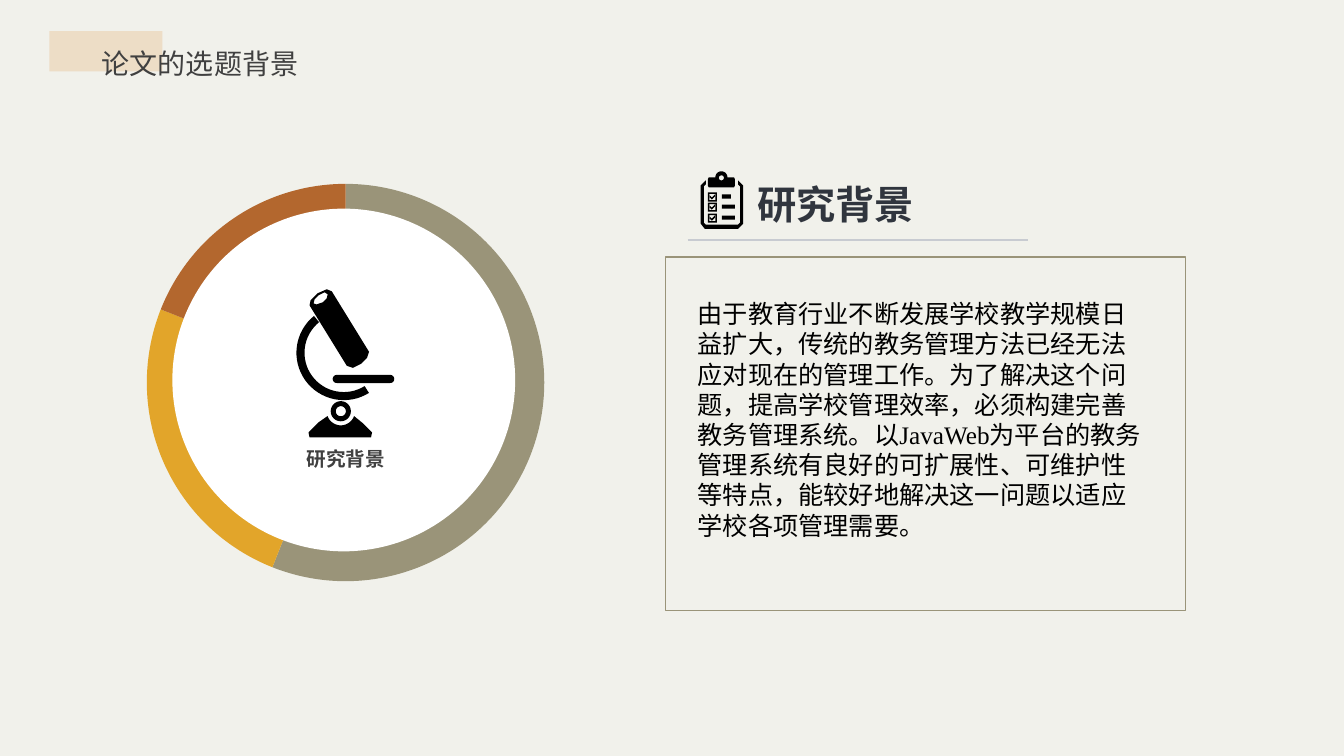
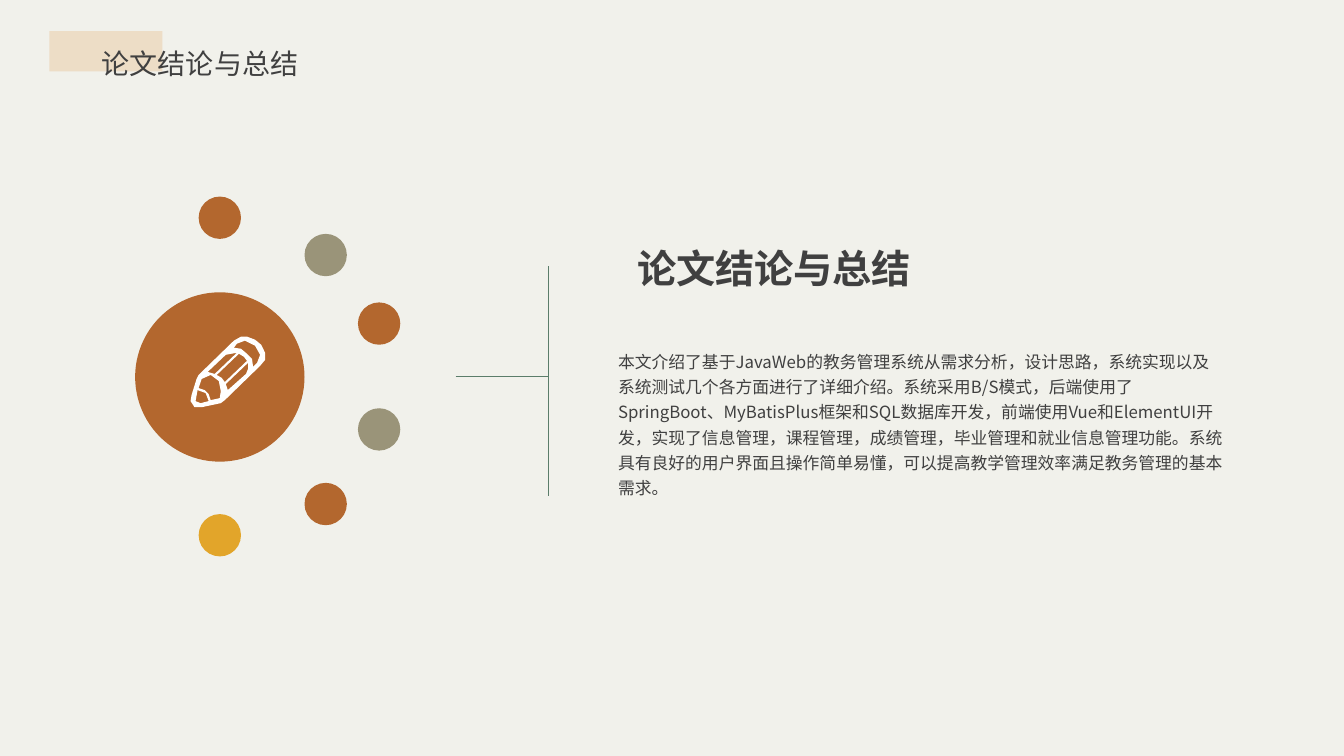
from dataclasses import dataclass
from math import cos, radians, sin

from lxml import etree
from pptx import Presentation
from pptx.chart.data import CategoryChartData
from pptx.dml.color import RGBColor
from pptx.enum.chart import XL_CHART_TYPE
from pptx.enum.shapes import MSO_CONNECTOR, MSO_SHAPE
from pptx.enum.text import MSO_ANCHOR, MSO_AUTO_SIZE, PP_ALIGN
from pptx.oxml import parse_xml
from pptx.oxml.ns import nsdecls, qn
from pptx.util import Inches, Pt

RECT, OVAL = MSO_SHAPE.RECTANGLE, MSO_SHAPE.OVAL
STRAIGHT, PIE = MSO_CONNECTOR.STRAIGHT, XL_CHART_TYPE.PIE
LEFT, CENTER, JUSTIFY = PP_ALIGN.LEFT, PP_ALIGN.CENTER, PP_ALIGN.JUSTIFY
TITLE_AND_CONTENT = 1


@dataclass(frozen=True)
class Theme:
    paper: str = "F1F1EB"
    sand: str = "EDDDC6"
    olive: str = "9A9479"
    rust: str = "B3672E"
    gold: str = "E2A52A"
    green: str = "5B7D6A"
    grey: str = "C8CBD1"
    text: str = "404040"
    slate: str = "30353E"
    black: str = "000000"
    white: str = "FFFFFF"
    sans: str = "Noto Sans CJK SC"
    slab: str = "Roboto Slab"
    serif: str = "Times New Roman"
    title: int = 20
    heading: int = 28
    body: int = 18
    label: int = 14
    small: int = 12


T = Theme()
CELL = Inches(0.1)  # the slide is a grid of 133.3 columns by 75 rows


@dataclass(frozen=True)
class Box:
    """A region in grid cells."""
    x: float
    y: float
    w: float
    h: float

    def inner(self, dx, dy, w, h):
        return Box(self.x + dx, self.y + dy, w, h)

    def emu(self):
        return [int(v * CELL) for v in (self.x, self.y, self.w, self.h)]


def rgb(color):
    return RGBColor.from_string(color)


# Basic elements

def add_shape(s, kind, box, fill=None, line=None):
    sp = s.shapes.add_shape(kind, *box.emu())
    sp.shadow.inherit = False
    if fill:
        sp.fill.solid()
        sp.fill.fore_color.rgb = rgb(fill)
    else:
        sp.fill.background()
    if line:
        sp.line.color.rgb = rgb(line)
        sp.line.width = Pt(1)
    else:
        sp.line.fill.background()
    return sp


def add_line(s, box, color, width):
    x, y, w, h = box.emu()
    line = s.shapes.add_connector(STRAIGHT, x, y, x + w, y + h)
    line.line.color.rgb = rgb(color)
    line.line.width = Pt(width)
    etree.SubElement(line._element.spPr, qn("a:effectLst"))


def set_text(sp, text, size, font=T.sans, color=T.text, bold=False,
             align=LEFT, spacing=1.0, wrap=True):
    tf = sp.text_frame
    tf.text = text
    tf.word_wrap = wrap
    tf.auto_size = MSO_AUTO_SIZE.NONE
    tf.vertical_anchor = MSO_ANCHOR.TOP
    p = tf.paragraphs[0]
    p.alignment = align
    p.line_spacing = spacing
    p.space_before = Pt(0)
    p.font.name, p.font.size, p.font.bold = font, Pt(size), bold
    p.font.color.rgb = rgb(color)
    pPr = p._p.pPr
    etree.SubElement(pPr.find(qn("a:defRPr")), qn("a:ea"), typeface=T.sans)
    return tf


def add_text(s, box, text, size, **style):
    return set_text(s.shapes.add_textbox(*box.emu()), text, size, **style)


def fill_placeholder(sp, box, text, size, **style):
    sp.left, sp.top, sp.width, sp.height = box.emu()
    return set_text(sp, text, size, **style)


def fill_body(s, box, text, size, **style):
    tf = fill_placeholder(s.placeholders[1], box, text, size, **style)
    pPr = tf.paragraphs[0]._p.pPr
    pPr.set("marL", "0")
    pPr.set("indent", "0")
    pPr.find(qn("a:defRPr")).addprevious(parse_xml(f'<a:buNone {nsdecls("a")}/>'))


# Icons: contours in hundredths of an inch, inner ones are holes

def arc(cx, cy, r, start=0, end=360, steps=32):
    angles = [radians(start + (end - start) * i / steps) for i in range(steps + 1)]
    return [(cx + r * cos(a), cy + r * sin(a)) for a in angles]


def bar(x1, y1, x2, y2):
    return [(x1, y1), (x2, y1), (x2, y2), (x1, y2)]


def add_icon(s, box, contours, color):
    left, top, _, _ = box.emu()
    placed = [[(left + int(x * CELL / 10), top + int(y * CELL / 10)) for x, y in c]
              for c in contours]
    builder = s.shapes.build_freeform(*placed[0][0])
    for first, *rest in placed:
        builder.move_to(*first)
        builder.add_line_segments(rest, close=True)
    sp = builder.convert_to_shape()
    sp.shadow.inherit = False
    sp.fill.solid()
    sp.fill.fore_color.rgb = rgb(color)
    sp.line.fill.background()


def microscope():
    tube = [(13, 17), (14, 12), (21, 5), (30, 1), (35, 3), (72, 63), (70, 69),
            (64, 75), (56, 79), (50, 77)]
    eyepiece = [(17, 15), (18, 11), (22, 7), (28, 4), (31, 6), (30, 10), (26, 14), (20, 16)]
    arm = arc(47, 64, 47, 58, 231) + arc(47, 64, 39, 231, 58)
    stage = arc(40, 90, 4, 90, 270) + arc(93, 90, 4, 270, 450)
    base = arc(44, 122, 14, 160, 20) + [(66, 134), (75, 143), (74, 148), (13, 148),
                                        (12, 143), (22, 133)]
    return [tube, eyepiece, arm, stage, arc(44, 122, 10), arc(44, 122, 5), base]


def clipboard():
    frame = [(5, 9), (0, 14), (0, 52), (4, 57), (37, 57), (42, 52), (42, 14), (37, 9),
             (37, 13), (39, 15), (39, 51), (37, 53), (5, 53), (3, 51), (3, 15), (5, 13)]
    clip = [(8, 6), *arc(20.5, 6, 6, 180, 360), (33, 6), (34, 8), (34, 14), (33, 16),
            (8, 16), (7, 14), (7, 8)]
    contours = [frame, clip, arc(20.5, 6.5, 2.5)]
    for y, end in ((21, 30), (31, 34), (42, 34)):
        check = [(9, 3), (11, 5), (14, 2), (14, 4), (11, 7), (9, 5)]
        contours += [bar(7, y, 16, y + 9), bar(8.5, y + 1.5, 14.5, y + 7.5),
                     [(x, y + dy) for x, dy in check], bar(21, y + 2, end, y + 6)]
    return contours


def pencil():
    outline = [(1, 58), (6, 42), (8, 38), (43, 4), (50, 0), (56, 0), (64, 3), (70, 8),
               (74, 16), (74, 23), (69, 29), (34, 63), (30, 66), (11, 70), (4, 70), (0, 64)]
    eraser = [(66, 26), (62, 30), (61, 22), (56, 17), (50, 12), (43, 11), (46, 7),
              (54, 4), (64, 9), (69, 18)]
    wood = [(20, 63), (29, 61), (30, 54), (28, 44), (20, 38), (11, 42), (8, 51),
            (14, 53), (18, 57)]
    lead = [(10, 66), (5, 64), (7, 53), (15, 56), (18, 64)]
    stripes = [[(24, 37), (17, 35), (35, 18), (46, 16)],
               [(34, 45), (31, 41), (26, 38), (48, 17), (53, 20), (56, 24)],
               [(37, 53), (35, 47), (57, 26), (57, 32), (55, 37)]]
    return [outline, eraser, wood, lead, *stripes]


# Regions

def start_slide(prs, title):
    s = prs.slides.add_slide(prs.slide_layouts[TITLE_AND_CONTENT])
    band = add_shape(s, RECT, Box(4.9, 3.1, 11.2, 4), T.sand)
    s.shapes._spTree.insert(2, band._element)  # behind the title
    fill_placeholder(s.shapes.title, Box(9.1, 2.4, 35, 5.5), title, T.title,
                     align=JUSTIFY, spacing=1.5)
    return s


def ring_chart(s, box, label):
    data = CategoryChartData()
    data.categories = ["1", "2", "3"]
    data.add_series("Series 1", (56, 25, 19))
    chart = s.shapes.add_chart(PIE, *box.emu(), data).chart
    chart.has_legend = chart.has_title = False
    chart.font.size, chart.font.name = Pt(T.small), T.sans
    chart.font.color.rgb = rgb(T.black)
    plot = chart.plots[0]
    plot.vary_by_categories = False
    for i, color in enumerate((T.olive, T.gold, T.rust)):
        form = plot.series[0].points[i].format
        form.fill.solid()
        form.fill.fore_color.rgb = rgb(color)
        form.line.fill.background()
    # Fixed plot area
    area = chart._chartSpace.chart.plotArea
    for old in area.findall(qn("c:layout")):
        area.remove(old)
    shares = "".join(f'<c:{k} val="{v}"/>' for k, v in (
        ("layoutTarget", "inner"), ("xMode", "edge"), ("yMode", "edge"),
        ("x", 0.04), ("y", 0.01), ("w", 0.95), ("h", 0.88)))
    area.insert(0, parse_xml(f'<c:layout {nsdecls("c")}><c:manualLayout>{shares}'
                             '</c:manualLayout></c:layout>'))
    # Centre disc
    add_shape(s, OVAL, box.inner(4.2, 2.9, 34, 34), T.white)
    add_icon(s, box.inner(16.5, 10.8, 9.7, 14.7), microscope(), T.black)
    add_text(s, box.inner(10.2, 26, 22.4, 3.4), label, T.label, bold=True, align=CENTER)


def framed_text(s, box, heading, text):
    add_icon(s, box.inner(3.5, 0, 4.2, 5.7), clipboard(), T.black)
    tf = add_text(s, box.inner(9.1, 0.9, 15.8, 4.7), heading, T.heading, font=T.slab,
                  color=T.slate, bold=True, wrap=False)
    tf.margin_left = tf.margin_right = tf.margin_top = tf.margin_bottom = 0
    add_line(s, box.inner(2.2, 6.8, 33.8, 0), T.grey, 1)
    add_shape(s, RECT, box.inner(0, 8.5, box.w, box.h - 8.5), line=T.olive)
    fill_body(s, box.inner(2.2, 12.1, 46.6, 25.2), text, T.body, font=T.serif,
              color=T.black)


def dot_cluster(s, box):
    disc, dot = 16.8, 4.2
    cx, cy = disc / 2, box.h / 2
    add_shape(s, OVAL, box.inner(0, cy - disc / 2, disc, disc), T.rust)
    orbit = ((0, -15.8, T.rust), (10.5, -12.1, T.olive), (15.8, -5.3, T.rust),
             (15.8, 5.2, T.olive), (10.5, 12.6, T.rust), (0, 15.7, T.gold))
    for dx, dy, color in orbit:
        add_shape(s, OVAL, box.inner(cx + dx - dot / 2, cy + dy - dot / 2, dot, dot), color)
    add_icon(s, box.inner(5.5, cy - 4, 7.4, 7.1), pencil(), T.white)


def bracket(s, box):
    add_line(s, box.inner(0, 10.9, box.w, 0), T.green, 0.5)
    add_line(s, box.inner(box.w, 0, 0, box.h), T.green, 0.5)


def summary_text(s, box, heading, text):
    add_text(s, box.inner(1.9, 0, 33.5, 5.7), heading, T.heading, bold=True)
    fill_body(s, box.inner(0, 10.2, box.w, box.h - 10.2), text, T.small, spacing=1.25)


# Slides

def background_slide(prs):
    s = start_slide(prs, "论文的选题背景")
    ring_chart(s, Box(12.9, 17.8, 41.5, 44.8), "研究背景")
    framed_text(s, Box(66, 17, 51.6, 43.6), "研究背景",
                "由于教育行业不断发展学校教学规模日益扩大，传统的教务管理方法已经无法应对现在的"
                "管理工作。为了解决这个问题，提高学校管理效率，必须构建完善教务管理系统。以JavaWeb"
                "为平台的教务管理系统有良好的可扩展性、可维护性等特点，能较好地解决这一问题以适应"
                "学校各项管理需要。")


def conclusion_slide(prs):
    title = "论文结论与总结"
    s = start_slide(prs, title)
    dot_cluster(s, Box(13.4, 19.5, 26.3, 35.8))
    bracket(s, Box(45.2, 26.4, 9.2, 22.8))
    summary_text(s, Box(60.3, 23.7, 62.1, 23.6), title,
                 "本文介绍了基于JavaWeb的教务管理系统从需求分析，设计思路，系统实现以及系统测试"
                 "几个各方面进行了详细介绍。系统采用B/S模式，后端使用了SpringBoot、MyBatisPlus框架"
                 "和SQL数据库开发，前端使用Vue和ElementUI开发，实现了信息管理，课程管理，成绩管理，"
                 "毕业管理和就业信息管理功能。系统具有良好的用户界面且操作简单易懂，可以提高教学管理"
                 "效率满足教务管理的基本需求。")


prs = Presentation()
prs.slide_width, prs.slide_height = Inches(13.33), Inches(7.5)
paper = prs.slide_master.background.fill
paper.solid()
paper.fore_color.rgb = rgb(T.paper)
background_slide(prs)
conclusion_slide(prs)
prs.save("out.pptx")
